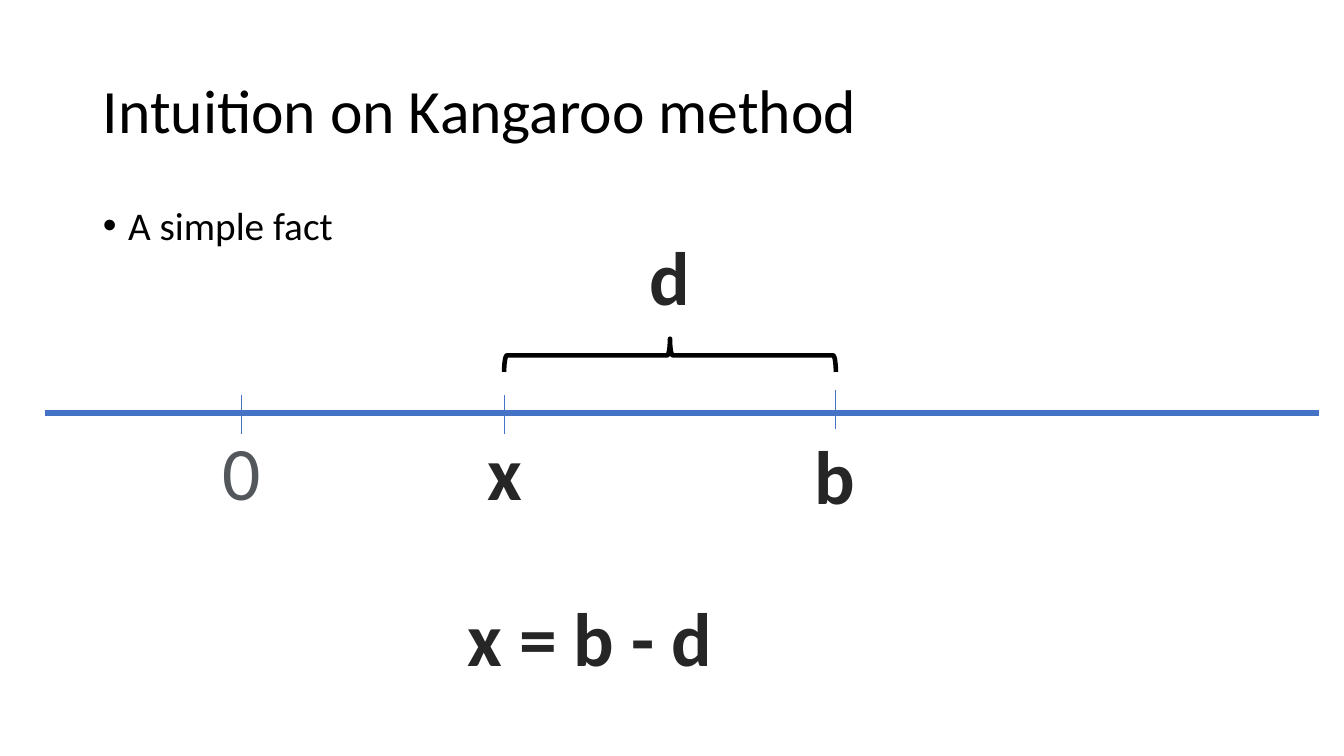
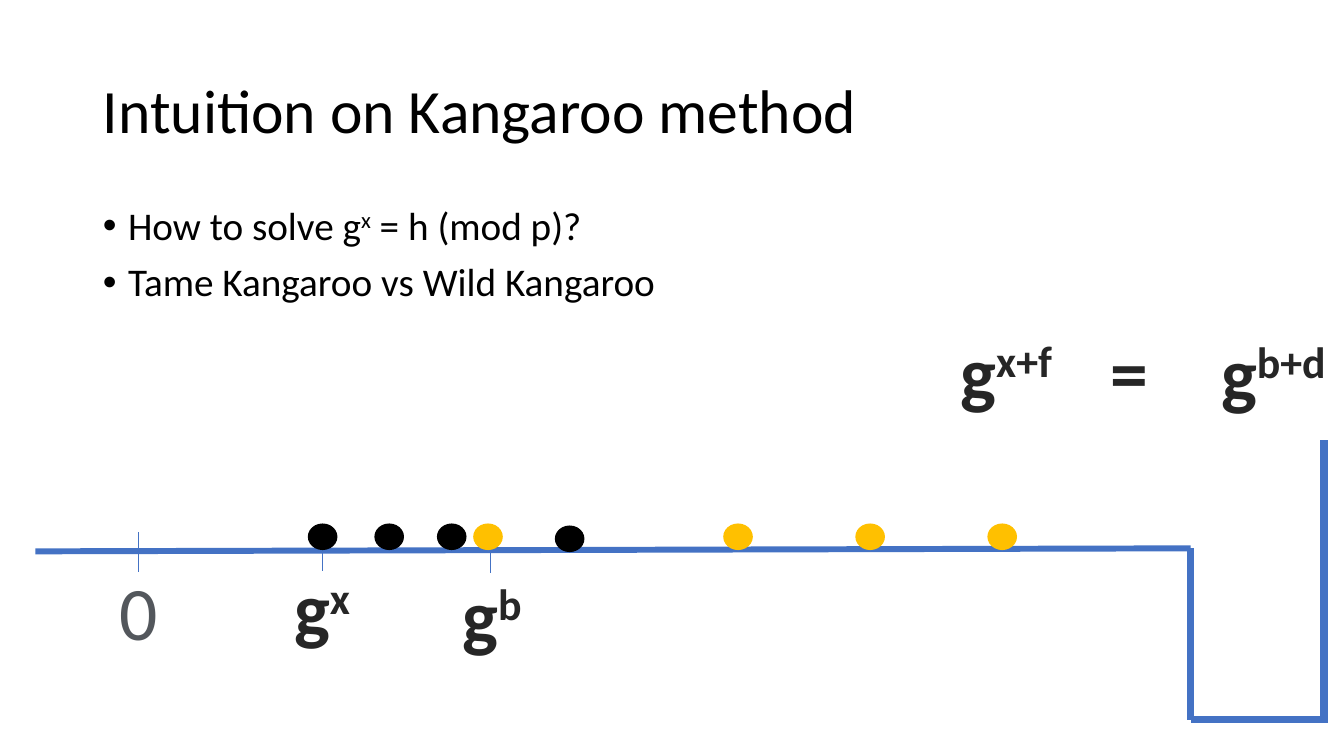
"""Build two slides that explain the Kangaroo method on a number line."""
from typing import NamedTuple

from lxml.etree import SubElement
from pptx import Presentation
from pptx.dml.color import RGBColor
from pptx.enum.shapes import MSO_CONNECTOR, MSO_SHAPE
from pptx.enum.text import MSO_ANCHOR, MSO_AUTO_SIZE, PP_ALIGN
from pptx.oxml.ns import qn
from pptx.util import Emu, Pt

PX = 9144
FONT = "Calibri"
TITLE = "Intuition on Kangaroo method"
BLACK = RGBColor(0x00, 0x00, 0x00)
DARK = RGBColor(0x26, 0x26, 0x26)
BLUE = RGBColor(0x44, 0x72, 0xC4)
GOLD = RGBColor(0xFF, 0xC0, 0x00)
ZERO_FADE = ((0.21, RGBColor(0x53, 0x57, 0x5C)), (0.88, RGBColor(0xC5, 0xC7, 0xCA)))
TITLE_BOX = (92, 40, 1150, 145)
BODY_BOX = (92, 200, 1150, 476)
TICK_HEIGHT = 39
LABEL_HEIGHT = 101
DOT_SIZE = (28, 25)


class Line(NamedTuple):
    """A straight line with its weight in points."""
    x1: int
    y1: int
    x2: int
    y2: int
    weight: float


class Label(NamedTuple):
    """A large centred label; ^ switches superscript on and off."""
    text: str
    left: int
    top: int
    width: int
    fade: bool = False


class Dot(NamedTuple):
    """A landing point of a kangaroo."""
    left: int
    top: int
    color: RGBColor


def px(n):
    """Turn px into EMU."""
    return Emu(n * PX)


def place(sp, box):
    """Move a shape to a box given in px."""
    sp.left, sp.top, sp.width, sp.height = map(px, box)


def write(p, text, *, size, color=BLACK, bold=False, fade=False, align=PP_ALIGN.LEFT,
          spacing=None, before=0):
    """Fill a paragraph with formatted runs."""
    p.alignment = align
    p.line_spacing = spacing
    p.space_before = Pt(before)
    for i, part in enumerate(text.split("^")):
        if not part:
            continue
        r = p.add_run()
        r.text = part
        r.font.name, r.font.size, r.font.bold = FONT, Pt(size), bold
        if fade:
            r.font.fill.gradient()
            r.font.fill.gradient_angle = 270
            for stop, (position, shade) in zip(r.font.fill.gradient_stops, ZERO_FADE):
                stop.position, stop.color.rgb = position, shade
        else:
            r.font.color.rgb = color
        if i % 2:
            r._r.get_or_add_rPr().set("baseline", "30000")


def add_line(s, line: Line):
    """Draw a blue line."""
    c = s.shapes.add_connector(MSO_CONNECTOR.STRAIGHT, *map(px, line[:4]))
    c.line.color.rgb = BLUE
    c.line.width = Pt(line.weight)
    SubElement(c._element.spPr, qn("a:effectLst"))


def add_tick(s, x: int, top: int):
    """Draw a thin vertical mark on the number line."""
    add_line(s, Line(x, top, x, top + TICK_HEIGHT, 0.5))


def add_label(s, label: Label):
    """Draw a large label."""
    box = (label.left, label.top, label.width, LABEL_HEIGHT)
    tf = s.shapes.add_textbox(*map(px, box)).text_frame
    tf.word_wrap = False
    tf.auto_size = MSO_AUTO_SIZE.SHAPE_TO_FIT_TEXT
    write(tf.paragraphs[0], label.text, size=54, color=DARK, bold=not label.fade,
          fade=label.fade, align=PP_ALIGN.CENTER)


def add_dot(s, dot: Dot):
    """Draw a filled landing point."""
    sp = s.shapes.add_shape(MSO_SHAPE.OVAL, *map(px, (dot.left, dot.top, *DOT_SIZE)))
    sp.shadow.inherit = False
    sp.fill.solid()
    sp.fill.fore_color.rgb = dot.color
    sp.line.color.rgb = dot.color
    sp.line.width = Pt(1)


def add_brace(s, box):
    """Draw the brace that spans a distance from above."""
    sp = s.shapes.add_shape(MSO_SHAPE.RIGHT_BRACE, *map(px, box))
    sp.rotation = 270
    sp.shadow.inherit = False
    sp.fill.background()
    sp.line.color.rgb = BLACK
    sp.line.width = Pt(3.25)


def add_slide(prs, bullets):
    """Add a slide with the shared title and a bullet list."""
    s = prs.slides.add_slide(prs.slide_layouts[1])
    tf = s.shapes.title.text_frame
    tf.vertical_anchor = MSO_ANCHOR.MIDDLE
    tf.auto_size = MSO_AUTO_SIZE.NONE
    write(tf.paragraphs[0], TITLE, size=44, spacing=0.9)
    tf = s.placeholders[1].text_frame
    tf.auto_size = MSO_AUTO_SIZE.NONE
    for i, text in enumerate(bullets):
        p = tf.add_paragraph() if i else tf.paragraphs[0]
        write(p, text, size=28, spacing=0.9, before=10)
        pPr = p._p.get_or_add_pPr()
        pPr.set("marL", str(px(25)))
        pPr.set("indent", str(px(-25)))
    return s


def build_fact(prs):
    """Show the distance between x and b."""
    s = add_slide(prs, ["A simple fact"])
    add_line(s, Line(45, 410, 1308, 410, 4.25))
    for x, top in ((239, 392), (500, 392), (829, 387)):
        add_tick(s, x, top)
    add_brace(s, (648, 188, 33, 329))
    for label in (
        Label("0", 210, 417, 59, fade=True),
        Label("x", 473, 417, 55),
        Label("b", 731, 421, 194),
        Label("d", 567, 223, 194),
        Label("x = b - d", 278, 581, 614),
    ):
        add_label(s, label)


def build_jumps(prs):
    """Show the jumps of both kangaroos towards the trap."""
    s = add_slide(prs, ["How to solve g^x^ = h (mod p)?", "Tame Kangaroo vs Wild Kangaroo"])
    for line in (
        Line(35, 547, 1181, 544, 4.25),
        Line(1181, 544, 1181, 714, 5.25),
        Line(1181, 714, 1317, 714, 5.25),
        Line(1313, 437, 1313, 714, 5.25),
    ):
        add_line(s, line)
    for x, top in ((137, 528), (320, 527), (486, 529)):
        add_tick(s, x, top)
    tame = [Dot(x, 520, GOLD) for x in (470, 718, 849, 980)]
    wild = [Dot(x, y, BLACK) for x, y in ((306, 520), (372, 520), (434, 520), (551, 522))]
    for dot in tame + wild:
        add_dot(s, dot)
    for label in (
        Label("0", 108, 556, 59, fade=True),
        Label("g^x", 280, 552, 79),
        Label("g^b", 409, 558, 158),
        Label("g^x+f", 919, 317, 158),
        Label("=", 1041, 317, 158),
        Label("g^b+d", 1198, 318, 130),
    ):
        add_label(s, label)


def main():
    """Build and save the presentation."""
    prs = Presentation()
    prs.slide_width, prs.slide_height = px(1333), px(750)
    for sp, box in zip(prs.slide_layouts[1].placeholders, (TITLE_BOX, BODY_BOX)):
        place(sp, box)
    build_fact(prs)
    build_jumps(prs)
    prs.save("out.pptx")


if __name__ == "__main__":
    main()
